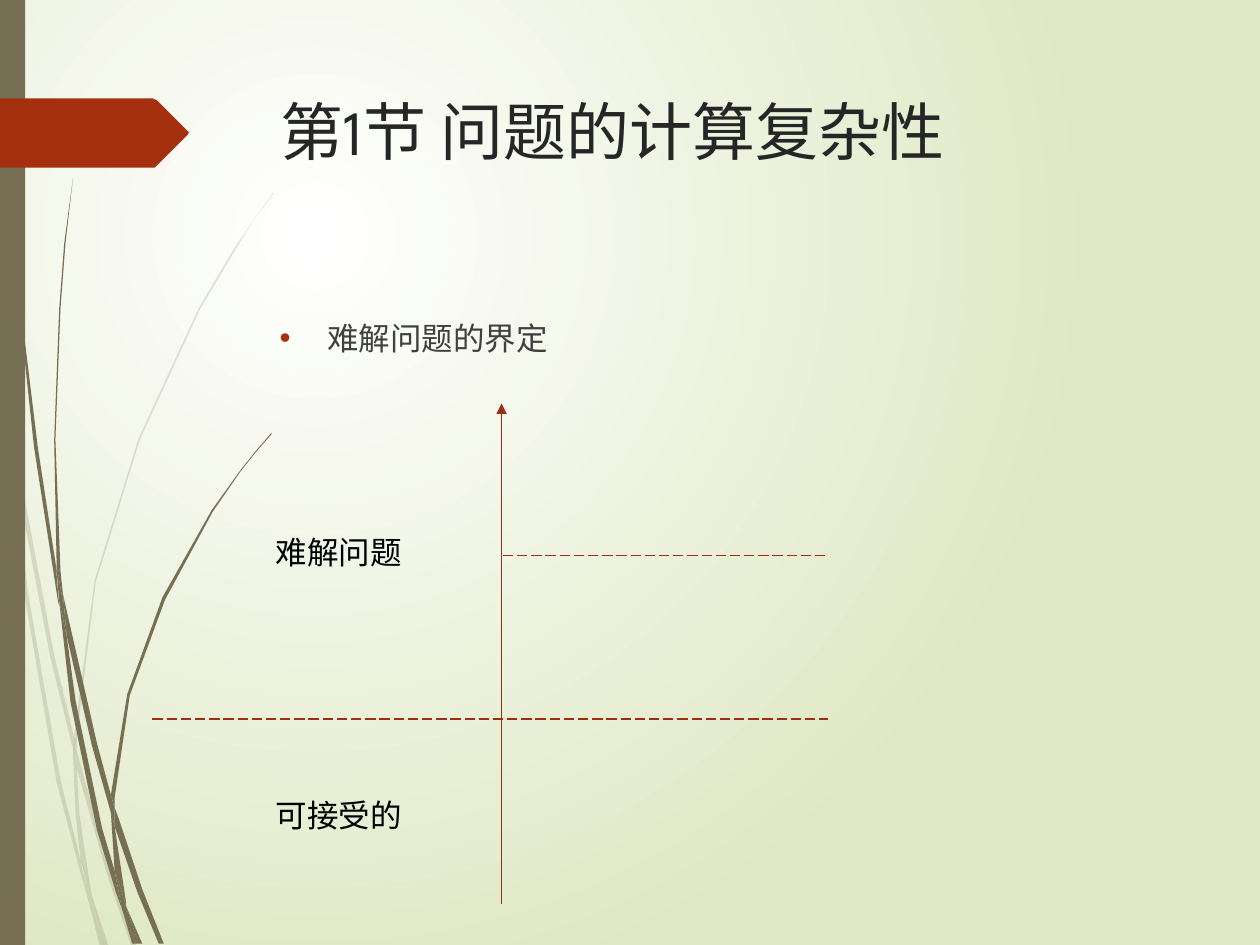
import collections
import lxml.etree
import pptx
import pptx.dml.color
import pptx.enum.dml
import pptx.enum.shapes
import pptx.enum.text
import pptx.oxml.ns
import pptx.util

HUES = {
    "white": "FFFFFF", "sage": "DFE8C4", "stem": "766F54", "rust": "A53010",
    "line": "9E2E0F", "title": "262626", "body": "404040", "black": "000000",
}
HEAD, TEXT = "League Spartan", "Courier New"
UNIT = pptx.util.Inches(0.01)
Box = collections.namedtuple("Box", "left top width height")
PAGE = Box(0, 0, 1000, 750)

PALE = [
    "8,350 6,322 0,282 0,299 7,344",
    "40,522 59,599 59,586 43,520 10,345 12,376",
    "64,607 61,596 61,610 85,694 104,750 108,750 88,692",
    "83,750 86,750 73,711",
    "64,683 48,619 22,469 12,376 8,350 19,470 45,621 64,693 70,714 69,707",
    "58,599 60,646 64,683 67,692 73,711 72,706 63,646 61,610 61,608",
    "61,584 76,462 111,349 159,245 187,198 201,175 217,154 217,153 "
    "201,175 186,197 158,244 110,348 75,461 59,584 59,586 61,596",
    "70,714 79,750 82,750",
    "61,608 61,610 61,596 59,586 58,599",
    "67,692 65,683 69,707 70,714 82,750 83,750 73,711",
]
DARK = [
    "5,110 14,233 27,355 46,477 47,481 45,457 45,453 30,355 15,232 6,109 "
    "4,48 3,0 2,0 3,48",
    "73,592 88,645 88,633 88,631 77,590 50,472 53,505",
    "94,649 91,641 91,656 109,708 126,749 130,749 113,706",
    "91,691 81,657 60,556 53,505 47,477 56,557 77,659 92,708 97,722 96,717",
    "50,472 48,453 44,349 48,245 52,193 58,141 51,193 47,245 43,349 45,449 "
    "49,472",
    "110,749 113,749 100,719",
    "47,477 53,505 50,472 49,472 45,449 45,453",
    "91,633 103,552 131,476 169,406 191,374 203,359 216,344 215,344 203,358 "
    "191,373 168,405 129,474 101,551 88,631 91,641",
    "97,722 105,749 108,749",
    "88,645 91,691 96,706 100,719 100,716 91,656 90,651",
    "88,645 90,651 91,656 91,641 88,631 88,633",
    "96,706 91,691 96,717 97,722 108,749 110,749 100,719",
]
TAG = "149,107 124,132 123,133 121,133 0,133 0,78 121,78 123,79 124,79 149,104 150,105"


def hue(name):
    return pptx.dml.color.RGBColor.from_string(HUES[name])


def node(root, tag, **attrs):
    return lxml.etree.SubElement(root, pptx.oxml.ns.qn(tag), attrs)


def part(box, left, top, width, height):
    return Box(box.left + left * box.width, box.top + top * box.height,
               width * box.width, height * box.height)


def emu(box):
    return [round(side * UNIT) for side in box]


def paint(shape, name, alpha=None):
    shape.shadow.inherit = False
    shape.fill.solid()
    shape.fill.fore_color.rgb = hue(name)
    shape.line.fill.background()
    if alpha:
        tint = shape.fill._xPr.find(".//" + pptx.oxml.ns.qn("a:srgbClr"))
        node(tint, "a:alpha", val=str(alpha * 1000))


def trace(slide, box, data, name, alpha=None):
    dots = [tuple(map(int, pair.split(","))) for pair in data.split()]
    pen = slide.shapes.build_freeform(*dots[0], scale=UNIT)
    pen.add_line_segments(dots[1:], close=True)
    paint(pen.convert_to_shape(*emu(box)[:2]), name, alpha)


def write(frame, words, face, size, name):
    run = frame.paragraphs[0].add_run()
    run.text = words
    run.font.name = face
    run.font.size = pptx.util.Pt(size)
    run.font.color.rgb = hue(name)


def wash(slide):
    fill = slide.background.fill
    fill.gradient()
    for stop, name in zip(fill.gradient_stops, ("white", "sage")):
        stop.color.rgb = hue(name)
    grad = slide.element.xpath(".//p:bg//a:gradFill")[0]
    grad.remove(grad.find(pptx.oxml.ns.qn("a:lin")))
    ring = node(grad, "a:path", path="circle")
    node(ring, "a:fillToRect", l="50000", t="50000", r="100000", b="100000")


def trim(slide, box):
    for data in PALE:
        trace(slide, box, data, "stem", 20)
    for data in DARK:
        trace(slide, box, data, "stem")
    band = slide.shapes.add_shape(
        pptx.enum.shapes.MSO_SHAPE.RECTANGLE, *emu(part(box, 0, 0, 0.02, 1)))
    paint(band, "stem")
    trace(slide, box, TAG, "rust")


def head(slide, box):
    title = slide.shapes.title
    title.left, title.top, title.width, title.height = emu(box)
    frame = title.text_frame
    frame.word_wrap = True
    frame.auto_size = pptx.enum.text.MSO_AUTO_SIZE.NONE
    frame.vertical_anchor = pptx.enum.text.MSO_ANCHOR.TOP
    frame.paragraphs[0].alignment = pptx.enum.text.PP_ALIGN.LEFT
    write(frame, "第1节 问题的计算复杂性", HEAD, 36, "title")


def point(slide, box):
    frame = slide.shapes.add_textbox(*emu(box)).text_frame
    frame.word_wrap = True
    para = frame.paragraphs[0]
    para.line_spacing = 1.5
    props = para._p.get_or_add_pPr()
    dent = pptx.util.Inches(0.38)
    props.set("marL", str(dent))
    props.set("indent", str(-dent))
    node(node(props, "a:buClr"), "a:srgbClr", val=HUES["rust"])
    node(props, "a:buFont", typeface="Arial")
    node(props, "a:buChar", char="•")
    write(frame, "难解问题的界定", TEXT, 18, "body")


def rule(slide, box, arrow=False):
    left, top, width, height = emu(box)
    line = slide.shapes.add_connector(
        pptx.enum.shapes.MSO_CONNECTOR.STRAIGHT,
        left, top, left + width, top + height)
    line.line.color.rgb = hue("line")
    line.line.width = pptx.util.Pt(0.75)
    if arrow:
        node(line.line._get_or_add_ln(), "a:tailEnd", type="triangle")
    else:
        line.line.dash_style = pptx.enum.dml.MSO_LINE.LONG_DASH
    node(line._element.spPr, "a:effectLst")


def label(slide, box, words):
    frame = slide.shapes.add_textbox(*emu(box)).text_frame
    frame.word_wrap = False
    frame.auto_size = pptx.enum.text.MSO_AUTO_SIZE.SHAPE_TO_FIT_TEXT
    write(frame, words, TEXT, 18, "black")


def scale(slide, box):
    rule(slide, part(box, 0.516, 1, 0, -1), arrow=True)
    rule(slide, part(box, 0, 0.63, 0.998, 0))
    rule(slide, part(box, 0.518, 0.304, 0.482, 0))
    for top, words in ((0.771, "可接受的"), (0.246, "难解问题")):
        label(slide, part(box, 0.164, top, 0.225, 0.1), words)


def main():
    deck = pptx.Presentation()
    deck.slide_width, deck.slide_height = emu(PAGE)[2:]
    slide = deck.slides.add_slide(deck.slide_layouts.get_by_name("Title Only"))
    wash(slide)
    trim(slide, PAGE)
    head(slide, part(PAGE, 0.213, 0.091, 0.721, 0.187))
    point(slide, part(PAGE, 0.212, 0.311, 0.721, 0.115))
    scale(slide, part(PAGE, 0.121, 0.427, 0.537, 0.53))
    deck.save("out.pptx")


if __name__ == "__main__":
    main()
